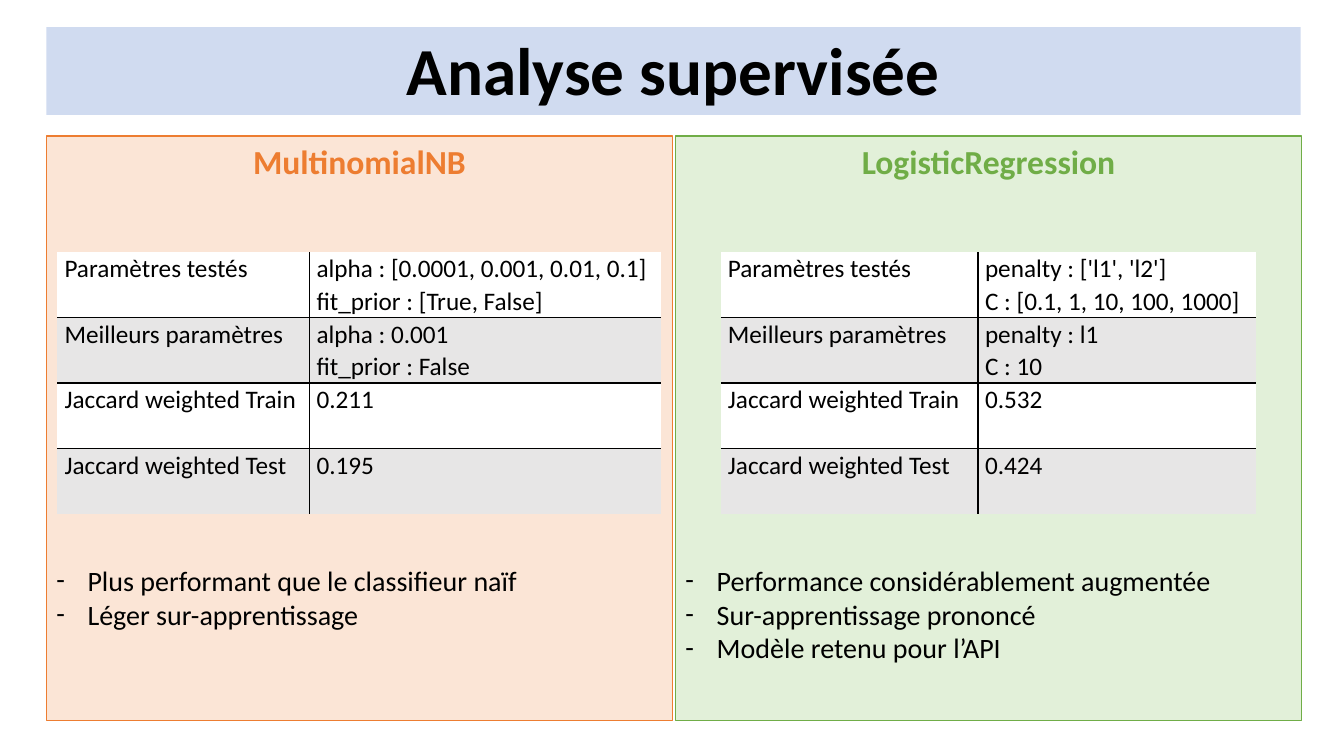
from pptx import Presentation
from pptx.dml.color import RGBColor as Rgb
from pptx.enum.shapes import MSO_SHAPE as Shape
from pptx.enum.text import MSO_ANCHOR as Anchor, PP_ALIGN as Align
from pptx.oxml import parse_xml
from pptx.oxml.ns import nsdecls
from pptx.util import Pt

PX = 9144  # 100 px to the inch
COLORS = {
    "black": "000000", "white": "FFFFFF", "gray": "E7E6E6", "blue": "4472C4",
    "orange": "ED7D31", "peach": "FBE5D6", "green": "70AD47", "mint": "E2F0D9",
}
LABELS = ["Paramètres testés", "Meilleurs paramètres",
          "Jaccard weighted Train", "Jaccard weighted Test"]
PANELS = [
    dict(left=46, name="MultinomialNB", fill="peach", accent="orange",
         grid=57, cols=(250, 349),
         values=["alpha : [0.0001, 0.001, 0.01, 0.1]\nfit_prior : [True, False]",
                 "alpha : 0.001\nfit_prior : False", "0.211", "0.195"],
         notes=["Plus performant que le classifieur naïf",
                "Léger sur-apprentissage"]),
    dict(left=670, name="LogisticRegression", fill="mint", accent="green",
         grid=715, cols=(255, 276),
         values=["penalty : ['l1', 'l2']\nC : [0.1, 1, 10, 100, 1000]",
                 "penalty : l1\nC : 10", "0.532", "0.424"],
         notes=["Performance considérablement augmentée",
                "Sur-apprentissage prononcé", "Modèle retenu pour l’API"]),
]


def rgb(name):
    return Rgb.from_string(COLORS[name])


def xml(tag, attrs="", inner=""):
    return parse_xml(f"<a:{tag} {nsdecls('a')} {attrs}>{inner}</a:{tag}>")


class Deck:
    font = "Calibri"

    def __init__(self):
        self.prs = Presentation()
        self.prs.slide_width, self.prs.slide_height = 1333 * PX, 750 * PX
        self.slide = self.prs.slides.add_slide(self.prs.slide_layouts[6])

    def style(self, para, size, color="black", bold=False, align=Align.LEFT):
        para.alignment = align
        for run in para.runs:
            font = run.font
            font.name, font.size, font.bold = self.font, Pt(size), bold
            font.color.rgb = rgb(color)

    def rect(self, box, fill, line=None):
        shape = self.slide.shapes.add_shape(Shape.RECTANGLE, *(n * PX for n in box))
        shape.shadow.inherit = False
        shape.fill.solid()
        shape.fill.fore_color.rgb = rgb(fill)
        if line:
            shape.line.color.rgb = rgb(line)
            shape.line.width = Pt(1)
        else:
            shape.line.fill.background()
        return shape

    def title(self, text):
        bar = self.rect((46, 27, 1244, 87), "blue")
        tint = bar.fill._xPr.find(".//{*}srgbClr")
        tint.append(xml("alpha", 'val="25000"'))
        frame = bar.text_frame
        frame.text = text
        frame.vertical_anchor = Anchor.BOTTOM
        para = frame.paragraphs[0]
        para.line_spacing = 0.9
        self.style(para, 48, bold=True, align=Align.CENTER)

    def panel(self, left, name, fill, accent, notes):
        frame = self.rect((left, 135, 621, 580), fill, accent).text_frame
        frame.vertical_anchor = Anchor.TOP
        frame.text = "\n".join([name, *notes])
        head, *items = frame.paragraphs
        self.style(head, 24, accent, True, Align.CENTER)
        items[0].space_before = Pt(273)
        for para in items:
            props = para._p.get_or_add_pPr()
            props.set("marL", str(31 * PX))
            props.set("indent", str(-31 * PX))
            props.append(xml("buFont", f'typeface="{self.font}"'))
            props.append(xml("buChar", 'char="-"'))
            self.style(para, 20)

    def rule(self, cell, side, shown):
        """Draw one cell border, or clear it."""
        ink = f'<a:solidFill><a:srgbClr val="{COLORS["black"]}"/></a:solidFill>'
        cell._tc.get_or_add_tcPr().append(
            xml("ln" + side, f'w="{Pt(1)}"', ink if shown else "<a:noFill/>"))

    def table(self, left, cols, rows):
        high = 65
        table = self.slide.shapes.add_table(
            len(rows), len(cols), left * PX, 250 * PX,
            sum(cols) * PX, high * len(rows) * PX).table
        table.first_row = table.horz_banding = False
        for col, wide in zip(table.columns, cols):
            col.width = wide * PX
        for r, row in enumerate(rows):
            table.rows[r].height = high * PX
            for c, text in enumerate(row):
                cell = table.cell(r, c)
                cell.margin_left = cell.margin_right = 7 * PX
                cell.margin_top = cell.margin_bottom = 0
                inner = {"L": c > 0, "R": c < len(cols) - 1,
                         "T": r > 0, "B": r < len(rows) - 1}
                for side, shown in inner.items():
                    self.rule(cell, side, shown)
                cell.fill.solid()
                cell.fill.fore_color.rgb = rgb("gray" if r % 2 else "white")
                cell.text_frame.text = text
                for para in cell.text_frame.paragraphs:
                    para.line_spacing = 1.06
                    self.style(para, 18)


def main():
    deck = Deck()
    deck.title("Analyse supervisée")
    for p in PANELS:
        deck.panel(p["left"], p["name"], p["fill"], p["accent"], p["notes"])
        deck.table(p["grid"], p["cols"], list(zip(LABELS, p["values"])))
    deck.prs.save("out.pptx")


if __name__ == "__main__":
    main()
